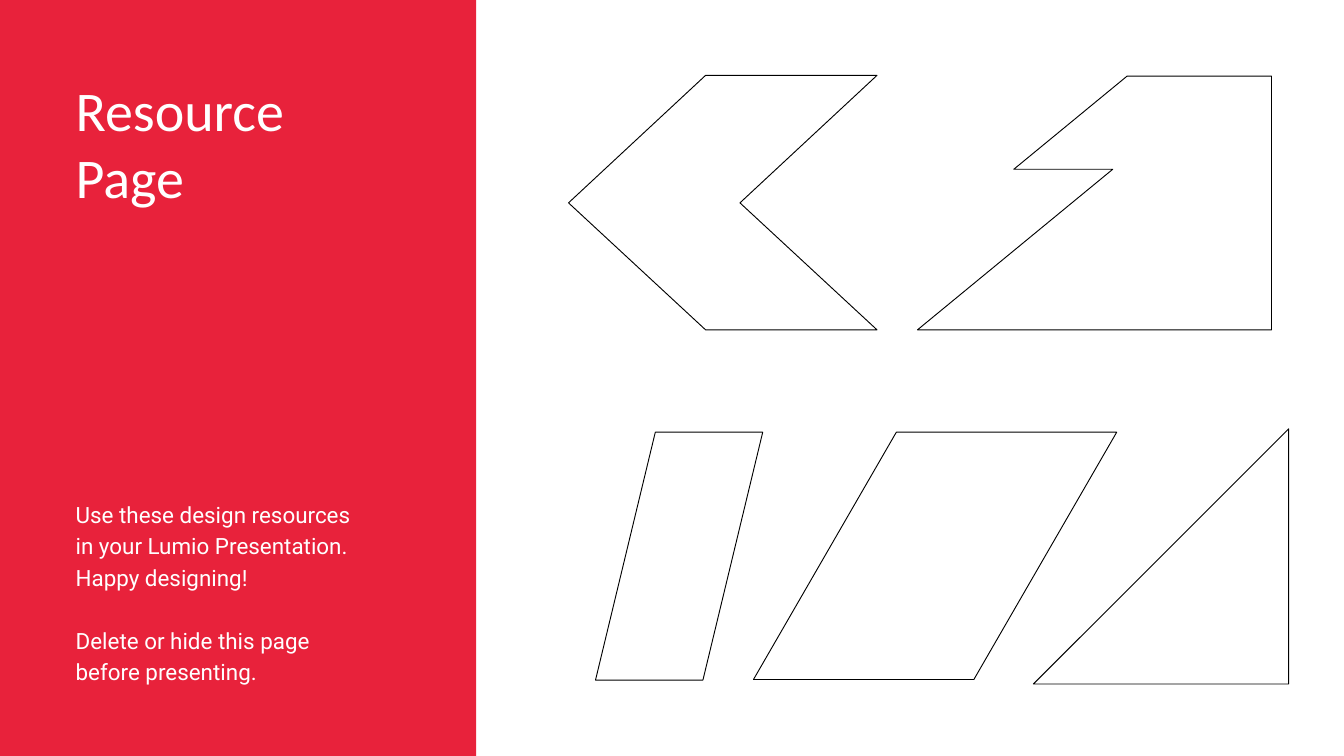
"""Build the resource page slide with a red text panel and five outlined shapes."""
from pptx import Presentation
from pptx.dml.color import RGBColor
from pptx.enum.shapes import MSO_SHAPE
from pptx.enum.text import MSO_AUTO_SIZE
from pptx.util import Cm, Pt

RED = RGBColor(0xE8, 0x22, 0x3B)
WHITE = RGBColor(0xFF, 0xFF, 0xFF)
BLACK = RGBColor(0x00, 0x00, 0x00)

presentation = Presentation()
presentation.slide_width = Cm(50.8)
presentation.slide_height = Cm(28.58)
slide = presentation.slides.add_slide(presentation.slide_layouts[6])

chevron = [(27.97, 7.67), (33.15, 12.47), (26.67, 12.47),
           (21.49, 7.67), (26.67, 2.85), (33.15, 2.85)]
triangle = [(48.71, 16.21), (39.06, 25.86), (48.71, 25.86)]
slim_parallelogram = [(28.83, 16.34), (26.57, 25.71), (22.51, 25.71), (24.77, 16.34)]
wide_parallelogram = [(36.81, 25.69), (28.48, 25.69), (33.88, 16.34), (42.21, 16.34)]
notched_corner = [(48.06, 12.47), (34.68, 12.47), (42.06, 6.4),
                  (38.32, 6.4), (42.6, 2.88), (48.06, 2.88)]

for points in (chevron, triangle, slim_parallelogram, wide_parallelogram, notched_corner):
    corners = [(Cm(x), Cm(y)) for x, y in points]
    builder = slide.shapes.build_freeform(*corners[0], scale=1.0)
    builder.add_line_segments(corners[1:], close=True)
    shape = builder.convert_to_shape()
    shape.shadow.inherit = False
    shape.fill.background()
    shape.line.color.rgb = BLACK
    shape.line.width = Pt(1)

panel = slide.shapes.add_shape(MSO_SHAPE.RECTANGLE, 0, 0, Cm(18), presentation.slide_height)
panel.shadow.inherit = False
panel.fill.solid()
panel.fill.fore_color.rgb = RED
panel.line.fill.background()

texts = [
    (2.84, 12.88, 5.11, "Calibri", 60, 72, ["Resource", "Page"]),
    (18.78, 11.89, 6.96, "Roboto", 24, 33.6,
     ["Use these design resources",
      "in your Lumio Presentation. Happy designing!",
      "Delete or hide this page",
      "before presenting."]),
]
for top, width, height, font_name, size, spacing, lines in texts:
    text_box = slide.shapes.add_textbox(Cm(2.86), Cm(top), Cm(width), Cm(height))
    text_frame = text_box.text_frame
    text_frame.word_wrap = True
    text_frame.auto_size = MSO_AUTO_SIZE.SHAPE_TO_FIT_TEXT
    text_frame.margin_left = text_frame.margin_right = 0
    text_frame.margin_top = text_frame.margin_bottom = 0
    text_frame.text = "\n".join(lines)
    for paragraph in text_frame.paragraphs:
        paragraph.line_spacing = Pt(spacing)
        if paragraph.text.startswith("Delete"):
            paragraph.space_before = Pt(spacing)
        for run in paragraph.runs:
            run.font.name = font_name
            run.font.size = Pt(size)
            run.font.color.rgb = WHITE

presentation.save("out.pptx")
